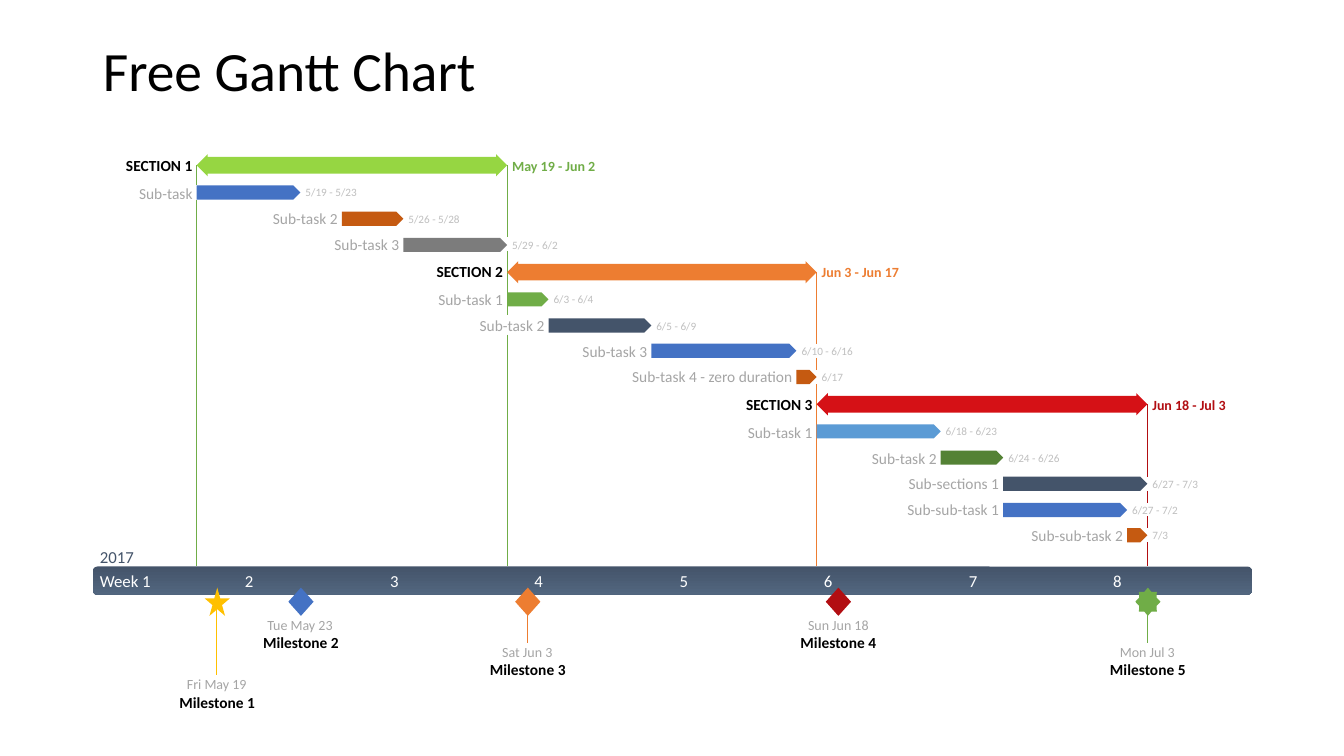
"""Build a one-slide Gantt chart with sections, sub-tasks and milestones."""
from lxml import etree
from pptx import Presentation
from pptx.dml.color import RGBColor
from pptx.enum.shapes import MSO_CONNECTOR, MSO_SHAPE
from pptx.enum.text import MSO_ANCHOR, PP_ALIGN
from pptx.oxml.ns import qn
from pptx.util import Emu, Pt

LINE = MSO_CONNECTOR.STRAIGHT
ARROW, PENTAGON = MSO_SHAPE.LEFT_RIGHT_ARROW, MSO_SHAPE.PENTAGON
BAND, DIAMOND = MSO_SHAPE.ROUNDED_RECTANGLE, MSO_SHAPE.DIAMOND
STAR5, STAR8 = MSO_SHAPE.STAR_5_POINT, MSO_SHAPE.STAR_8_POINT
LEFT, CENTER, RIGHT = PP_ALIGN.LEFT, PP_ALIGN.CENTER, PP_ALIGN.RIGHT
MIDDLE = MSO_ANCHOR.MIDDLE

SCALE = 9144
FONT = "Calibri"
COLORS = {
    "black": "000000", "white": "FFFFFF", "label": "A5A5A5", "date": "BFBFBF",
    "slate": "44546A", "slate_light": "52667F", "lime": "96D642",
    "green": "70AD47", "dark_green": "548235", "orange": "ED7D31",
    "rust": "C55A11", "gray": "7C7C7C", "blue": "4472C4", "sky": "5B9BD5",
    "red": "D51116", "dark_red": "B20E12", "gold": "FFC000",
}

BAND_LEFT, BAND_TOP, BAND_WIDTH, BAND_HEIGHT = 92, 562, 1150, 28
WEEKS = 8
DAY_ZERO, DAY_WIDTH = 92.4, 20.51
FIRST_ROW, TASK_STEP, SECTION_STEP = 164, 25.7, 27.2
NAME_GAP, DATE_GAP = 4, 5
SLACK = 10

# Days count from the left end of the band; sections and tasks share one layout:
# name, name width, first day, end day, dates, dates width, bar colour
SECTIONS = [
    (("SECTION 1", 67, 5, 20, "May 19 - Jun 2", 83, "lime"), "green", [
        ("Sub-task", 54, 5, 10, "5/19 - 5/23", 51, "blue"),
        ("Sub-task 2", 65, 12, 15, "5/26 - 5/28", 51, "rust"),
        ("Sub-task 3", 65, 15, 20, "5/29 - 6/2", 46, "gray"),
    ]),
    (("SECTION 2", 67, 20, 35, "Jun 3 - Jun 17", 78, "orange"), "orange", [
        ("Sub-task 1", 65, 20, 22, "6/3 - 6/4", 40, "green"),
        ("Sub-task 2", 65, 22, 27, "6/5 - 6/9", 40, "slate"),
        ("Sub-task 3", 65, 27, 34, "6/10 - 6/16", 51, "blue"),
        ("Sub-task 4 - zero duration", 160, 34, 35, "6/17", 22, "rust"),
    ]),
    (("SECTION 3", 67, 35, 51, "Jun 18 - Jul 3", 74, "red"), "dark_red", [
        ("Sub-task 1", 65, 35, 41, "6/18 - 6/23", 51, "sky"),
        ("Sub-task 2", 65, 41, 44, "6/24 - 6/26", 51, "dark_green"),
        ("Sub-sections 1", 90, 44, 51, "6/27 - 7/3", 46, "slate"),
        ("Sub-sub-task 1", 92, 44, 50, "6/27 - 7/2", 46, "blue"),
        ("Sub-sub-task 2", 92, 50, 51, "7/3", 17, "rust"),
    ]),
]
GUIDES = [
    (5, "green", [(164, 184), (198, 562)]),
    (20, "green", [(164, 235), (249, 313), (332, 562)]),
    (35, "orange", [(270, 341), (355, 367), (381, 562)]),
    (51, "dark_red", [(401, 473), (487, 499), (512, 524), (538, 562)]),
]
MILESTONES = [
    ("Milestone 1", "Fri May 19", 60, 6, 670, STAR5, "gold"),
    ("Milestone 2", "Tue May 23", 65, 10, 611, DIAMOND, "blue"),
    ("Milestone 3", "Sat Jun 3", 50, 21, 638, DIAMOND, "orange"),
    ("Milestone 4", "Sun Jun 18", 61, 36, 611, DIAMOND, "dark_red"),
    ("Milestone 5", "Mon Jul 3", 56, 51, 638, STAR8, "green"),
]


def px(n):
    """Turn px into EMU."""
    return Emu(round(n) * SCALE)


def rgb(name):
    """Look up a named colour."""
    return RGBColor.from_string(COLORS[name])


def day_x(day):
    """Give the horizontal place of a day on the band."""
    return round(DAY_ZERO + day * DAY_WIDTH)


def add_text(s, box, text, size, color, align=LEFT, bold=False):
    """Add a one-line label without margins, with slack away from its anchor."""
    x, y, w, h = box
    x -= {LEFT: 0, CENTER: SLACK / 2, RIGHT: SLACK}[align]
    tf = s.shapes.add_textbox(*map(px, (x, y, w + SLACK, h))).text_frame
    tf.margin_left = tf.margin_right = tf.margin_top = tf.margin_bottom = 0
    tf.word_wrap = True
    tf.vertical_anchor = MIDDLE
    p = tf.paragraphs[0]
    p.alignment = align
    r = p.add_run()
    r.text = text
    r.font.name, r.font.size, r.font.bold = FONT, Pt(size), bold
    r.font.color.rgb = rgb(color)
    return tf


def add_shape(s, kind, box, color):
    """Add a flat shape without outline."""
    sp = s.shapes.add_shape(kind, *map(px, box))
    sp.shadow.inherit = False
    sp.fill.solid()
    sp.fill.fore_color.rgb = rgb(color)
    sp.line.fill.background()
    return sp


def add_vertical(s, x, top, bottom, color):
    """Add a thin vertical line."""
    cx = s.shapes.add_connector(LINE, px(x), px(top), px(x), px(bottom))
    cx.line.color.rgb = rgb(color)
    cx.line.width = Pt(0.75)
    etree.SubElement(cx.element.spPr, qn("a:effectLst"))


def add_title(s, text):
    """Add the slide title."""
    tf = add_text(s, (102, 45, 1130, 56), text, 39.6, "black")
    tf.paragraphs[0].line_spacing = 0.9


def add_band(s):
    """Add the timeline band with its year and week numbers."""
    sp = add_shape(s, BAND, (BAND_LEFT, BAND_TOP, BAND_WIDTH, BAND_HEIGHT), "slate")
    sp.fill.gradient()
    sp.fill.gradient_angle = 270
    for stop, color in zip(sp.fill.gradient_stops, ("slate", "slate_light")):
        stop.color.rgb = rgb(color)
    for week in range(WEEKS):
        text, width = (str(week + 1), 8) if week else ("Week 1", 51)
        add_text(s, (day_x(week * 7) + 7, 567, width, 19), text, 12, "white")
    add_text(s, (BAND_LEFT + 7, 542, 33, 20), "2017", 12, "slate")


def add_row(s, row, mid, section_color=None):
    """Add one bar with its name at the left and dates at the right."""
    name, name_w, first, end, dates, dates_w, color = row
    left, right = day_x(first), day_x(end)
    is_section = section_color is not None
    kind, height = (ARROW, 22) if is_section else (PENTAGON, 14)
    sp = add_shape(s, kind, (left, mid - height / 2, right - left, height), color)
    if is_section:
        sp.adjustments[0], sp.adjustments[1] = 0.75, 0.5
    add_text(s, (left - NAME_GAP - name_w, mid - 9.6, name_w, 19), name, 11,
             "black" if is_section else "label", RIGHT, is_section)
    date_h, size = (17, 10) if is_section else (14, 8)
    add_text(s, (right + DATE_GAP, mid - date_h / 2, dates_w, date_h), dates,
             size, section_color or "date", LEFT, is_section)


def add_milestone(s, name, date, date_w, day, top, kind, color):
    """Add a milestone marker with its date and name."""
    x = day_x(day)
    add_text(s, (x - 37, top + 17, 75, 19), name, 11, "black", CENTER, True)
    add_text(s, (x - date_w / 2, top, date_w, 17), date, 10, "label", CENTER)
    add_shape(s, kind, (x - 12, 583, 25, 28), color)


def main():
    """Build the slide and save it."""
    prs = Presentation()
    prs.slide_width, prs.slide_height = px(1333), px(750)
    s = prs.slides.add_slide(prs.slide_layouts[6])
    for _, _, _, day, top, _, color in MILESTONES:
        if top > 611:
            add_vertical(s, day_x(day), 597, top, color)
    for day, color, spans in GUIDES:
        for top, bottom in spans:
            add_vertical(s, day_x(day), top, bottom, color)
    add_band(s)
    for milestone in MILESTONES:
        add_milestone(s, *milestone)
    mid = FIRST_ROW
    for section, color, tasks in SECTIONS:
        add_row(s, section, mid, color)
        mid += SECTION_STEP
        for i, task in enumerate(tasks):
            add_row(s, task, mid + i * TASK_STEP)
        mid += (len(tasks) - 1) * TASK_STEP + SECTION_STEP
    add_title(s, "Free Gantt Chart")
    prs.save("out.pptx")


if __name__ == "__main__":
    main()
